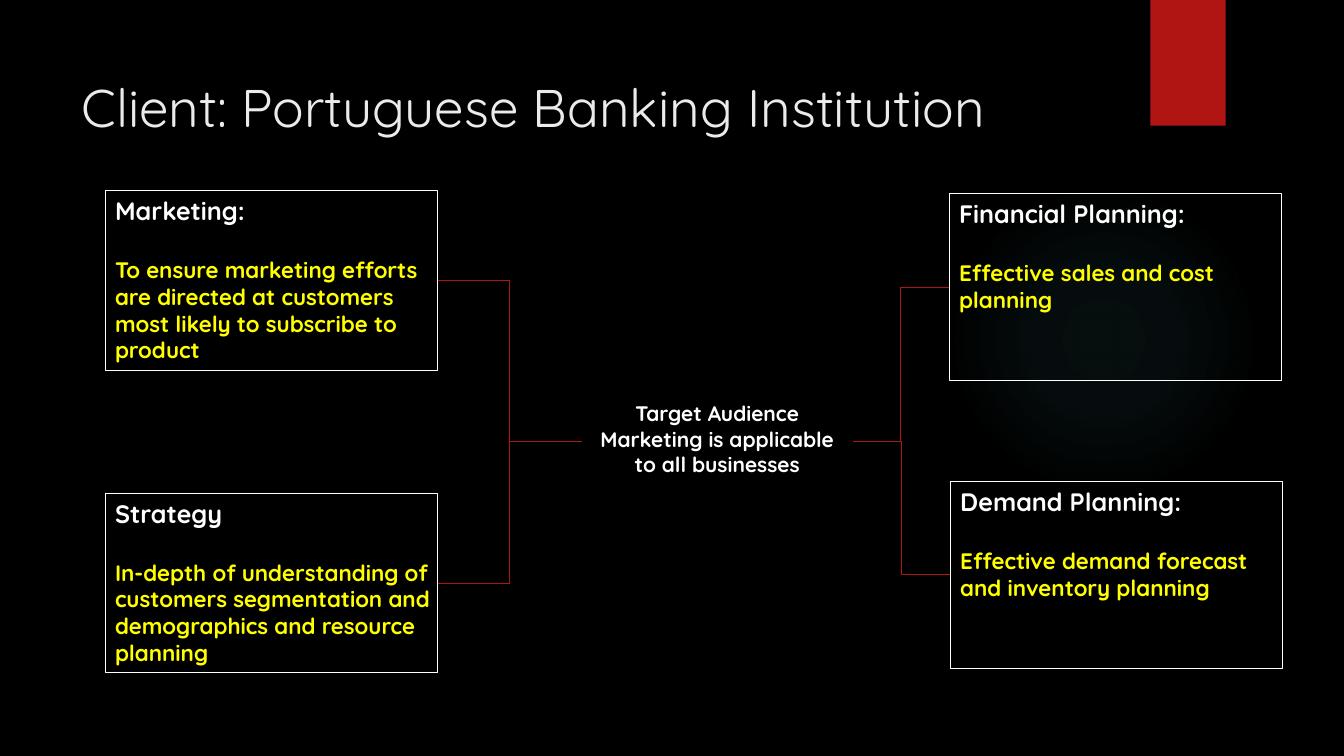
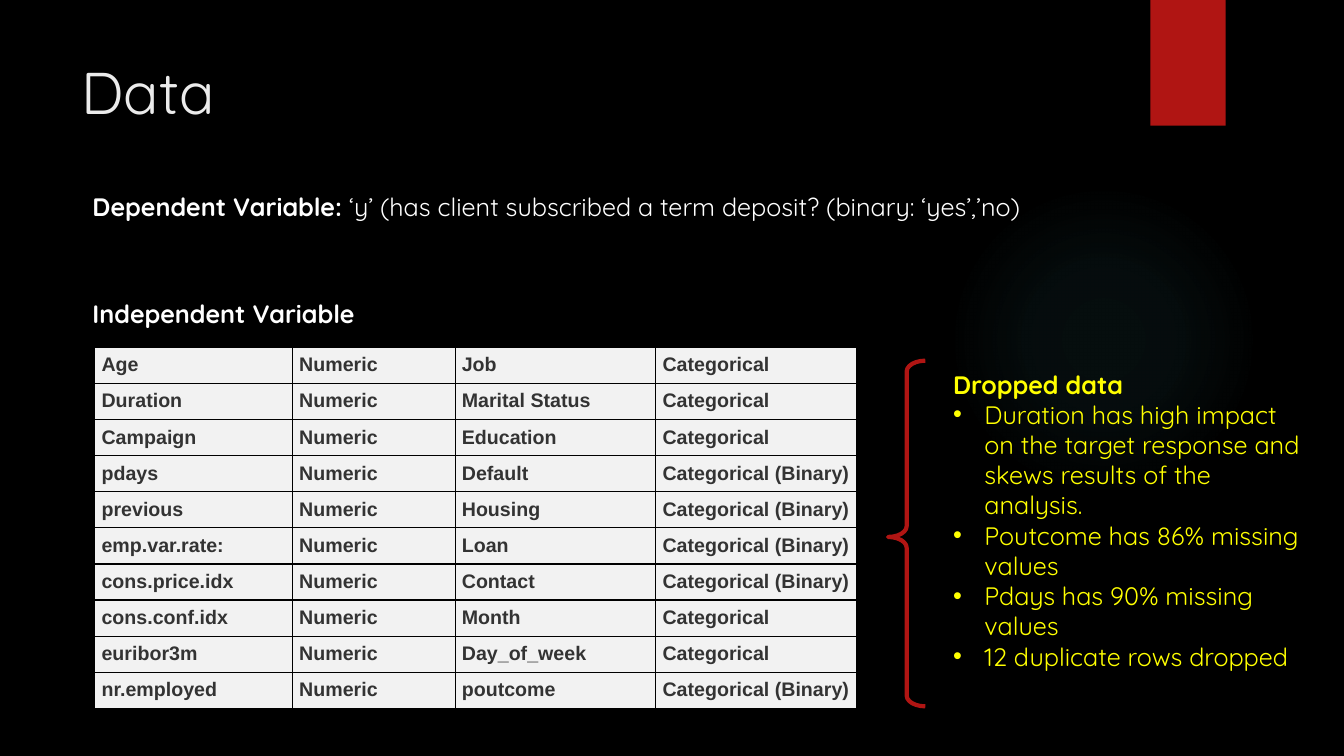
from dataclasses import dataclass

from pptx import Presentation
from pptx.dml.color import RGBColor
from pptx.enum.shapes import MSO_CONNECTOR, MSO_SHAPE
from pptx.enum.text import MSO_ANCHOR, MSO_AUTO_SIZE, PP_ALIGN
from pptx.oxml import parse_xml
from pptx.util import Cm, Pt

RECT, OVAL, BRACE = MSO_SHAPE.RECTANGLE, MSO_SHAPE.OVAL, MSO_SHAPE.LEFT_BRACE
ELBOW = MSO_CONNECTOR.ELBOW
TOP, FIXED = MSO_ANCHOR.TOP, MSO_AUTO_SIZE.NONE
LEFT, CENTER = PP_ALIGN.LEFT, PP_ALIGN.CENTER
NS = 'xmlns:a="http://schemas.openxmlformats.org/drawingml/2006/main"'


@dataclass(frozen=True)
class Theme:
    """Colours, fonts and type sizes of the deck."""
    black: RGBColor = RGBColor(0, 0, 0)
    white: RGBColor = RGBColor(255, 255, 255)
    red: RGBColor = RGBColor(0xB0, 0x15, 0x13)
    yellow: RGBColor = RGBColor(255, 255, 0)
    title: RGBColor = RGBColor(0xEB, 0xEB, 0xEB)
    cell: RGBColor = RGBColor(0xF2, 0xF2, 0xF2)
    ink: RGBColor = RGBColor(0x33, 0x33, 0x33)
    glow: RGBColor = RGBColor(0x50, 0xB9, 0xC1)
    font: str = "Quicksand"
    grid_font: str = "Arial"
    big: float = 42
    long: float = 37.8
    head: float = 18
    body: float = 16
    hub: float = 15
    grid: float = 14


T = Theme()


def write(frame, paras, align=LEFT, font=T.font):
    """Fill a frame; each paragraph is a list of (text, size, colour, bold)."""
    frame.word_wrap = True
    frame.auto_size = FIXED
    frame.vertical_anchor = TOP
    for i, runs in enumerate(paras):
        para = frame.paragraphs[0] if i == 0 else frame.add_paragraph()
        para.alignment = align
        for text, size, color, bold in runs:
            run = para.add_run()
            run.text = text
            run.font.name = font
            run.font.size = Pt(size)
            run.font.color.rgb = color
            run.font.bold = bold


def start(text, size, top, width, height):
    """Add a slide and set its title."""
    slide = deck.slides.add_slide(layout)
    title = slide.shapes.title
    title.left, title.top = Cm(1.8), Cm(top)
    title.width, title.height = Cm(width), Cm(height)
    write(title.text_frame, [[(text, size, T.title, False)]])
    return slide


deck = Presentation()
deck.slide_width, deck.slide_height = Cm(33.87), Cm(19.05)
layout = deck.slide_layouts[5]

# Shared layout: black ground, soft glow, red ribbon
layout.background.fill.solid()
layout.background.fill.fore_color.rgb = T.black
for holder in list(layout.placeholders):
    if holder.placeholder_format.idx != 0:
        holder.element.getparent().remove(holder.element)

client = start("Client: Portuguese Banking Institution", T.long, 1.75, 25.7, 3.4)
glow = client.shapes.add_shape(OVAL, Cm(23.9), Cm(4.65), Cm(7.82), Cm(7.82))
glow.shadow.inherit = False
glow.line.fill.background()
stops = "".join(
    f'<a:gs pos="{pos}000"><a:srgbClr val="{T.glow}">'
    f'<a:alpha val="{alpha}000"/></a:srgbClr></a:gs>'
    for pos, alpha in [(0, 7), (36, 6), (69, 0)])
glow.element.spPr.find("{*}prstGeom").addnext(parse_xml(
    f'<a:gradFill {NS}><a:gsLst>{stops}</a:gsLst><a:path path="circle">'
    '<a:fillToRect l="50000" t="50000" r="50000" b="50000"/>'
    '</a:path></a:gradFill>'))

ribbon = client.shapes.add_shape(RECT, Cm(28.99), 0, Cm(1.9), Cm(3.17))
ribbon.fill.solid()
ribbon.fill.fore_color.rgb = T.red
ribbon.line.fill.background()
ribbon.element.spPr.append(parse_xml(
    f'<a:effectLst {NS}><a:outerShdw blurRad="{Pt(3)}" dist="{Pt(2)}" '
    f'dir="5400000"><a:srgbClr val="{T.black}"><a:alpha val="45000"/>'
    '</a:srgbClr></a:outerShdw></a:effectLst>'))
for part in (glow, ribbon):
    layout.shapes.element.append(part.element)

# Slide 1: four business areas around one hub
hub = client.shapes.add_textbox(Cm(14.66), Cm(9.98), Cm(6.83), Cm(2.29))
write(hub.text_frame, [[("Target Audience Marketing is applicable to all businesses",
                         T.hub, T.white, True)]], CENTER)

WIDE, HUB_Y = 8.38, 11.13
HUB_L, HUB_R = 14.66, 21.49
areas = [
    ("Strategy", "In-depth of understanding of customers segmentation "
     "and demographics and resource planning", 2.65, 12.43, 4.53, 14.7),
    ("Marketing:", "To ensure marketing efforts are directed at customers "
     "most likely to subscribe to product", 2.65, 4.8, 4.53, 7.07),
    ("Demand Planning:", "Effective demand forecast and inventory planning",
     23.95, 12.13, 4.71, 14.48),
    ("Financial Planning:", "Effective sales and cost planning",
     23.92, 4.88, 4.71, 7.24),
]
for head, text, left, top, high, link_y in areas:
    box = client.shapes.add_shape(RECT, Cm(left), Cm(top), Cm(WIDE), Cm(high))
    box.shadow.inherit = False
    box.fill.background()
    box.line.color.rgb = T.white
    box.line.width = Pt(0.75)
    frame = box.text_frame
    frame.margin_right = Cm(0.15)
    write(frame, [[(head, T.head, T.white, True)],
                  [(text, T.body, T.yellow, True)]])
    frame.paragraphs[1].space_before = Pt(21.6)

    edge, goal = (left + WIDE, HUB_L) if left < HUB_L else (left, HUB_R)
    link = client.shapes.add_connector(
        ELBOW, Cm(edge), Cm(link_y), Cm(goal), Cm(HUB_Y))
    link.line.color.rgb = T.red
    link.line.width = Pt(0.75)
    link.element.spPr.append(parse_xml(f"<a:effectLst {NS}/>"))

# Slide 2: variables and dropped data
data = start("Data", T.big, 1.27, 26.14, 3.89)

YES_NO = "Categorical (Binary)"
rows = [
    ("Age", "Job", "Categorical"),
    ("Duration", "Marital Status", "Categorical"),
    ("Campaign", "Education", "Categorical"),
    ("pdays", "Default", YES_NO),
    ("previous", "Housing", YES_NO),
    ("emp.var.rate:", "Loan", YES_NO),
    ("cons.price.idx", "Contact", YES_NO),
    ("cons.conf.idx", "Month", "Categorical"),
    ("euribor3m", "Day_of_week", "Categorical"),
    ("nr.employed", "poutcome", YES_NO),
]
widths = [4.98, 4.1, 5.06, 5.06]
ROW = 0.91
table = data.shapes.add_table(len(rows), len(widths), Cm(2.39), Cm(8.75),
                              Cm(sum(widths)), Cm(ROW * len(rows))).table
table.first_row = table.horz_banding = False
for col, width in zip(table.columns, widths):
    col.width = Cm(width)
for r, (number, group, kind) in enumerate(rows):
    table.rows[r].height = Cm(ROW)
    for c, text in enumerate((number, "Numeric", group, kind)):
        cell = table.cell(r, c)
        cell.margin_left = cell.margin_right = Cm(0.17)
        cell.margin_top = cell.margin_bottom = Cm(0.17)
        props = cell._tc.get_or_add_tcPr()
        for side in "LRTB":
            props.append(parse_xml(
                f'<a:ln{side} {NS} w="{Pt(1)}"><a:solidFill>'
                f'<a:srgbClr val="{T.black}"/></a:solidFill></a:ln{side}>'))
        cell.fill.solid()
        cell.fill.fore_color.rgb = T.cell
        para = cell.text_frame.paragraphs[0]
        run = para.add_run()
        run.text = text
        run.font.name = T.grid_font
        run.font.size = Pt(T.grid)
        run.font.bold = True
        run.font.color.rgb = T.ink

labels = [
    (7.39, 7.44, [("Independent Variable", T.head, T.white, True)]),
    (4.7, 25.4, [("Dependent Variable: ", T.head, T.white, True),
                 ("‘y’ (has client subscribed a term deposit? "
                  "(binary: ‘yes’,’no)", T.head, T.white, False)]),
]
for top, width, runs in labels:
    label = data.shapes.add_textbox(Cm(2.08), Cm(top), Cm(width), Cm(1.02))
    write(label.text_frame, [runs])

notes = [
    "Duration has high impact on the target response and skews results "
    "of the analysis.",
    "Poutcome has 86% missing values",
    "Pdays has 90% missing values",
    "12 duplicate rows dropped",
]
dropped = data.shapes.add_textbox(Cm(23.77), Cm(9.17), Cm(9.45), Cm(8.71))
write(dropped.text_frame, [[("Dropped data", T.head, T.yellow, True)]]
      + [[(note, T.head, T.yellow, False)] for note in notes])
for para in dropped.text_frame.paragraphs[1:]:
    props = para._p.get_or_add_pPr()
    props.set("marL", str(Cm(0.79)))
    props.set("indent", str(-Cm(0.79)))
    props.append(parse_xml(f'<a:buFont {NS} typeface="{T.grid_font}"/>'))
    props.append(parse_xml(f'<a:buChar {NS} char="•"/>'))

brace = data.shapes.add_shape(BRACE, Cm(22.38), Cm(9.09), Cm(0.94), Cm(8.71))
brace.shadow.inherit = False
brace.adjustments[0], brace.adjustments[1] = 0.29, 0.51
brace.fill.background()
brace.line.color.rgb = T.red
brace.line.width = Pt(3)

deck.save("out.pptx")
